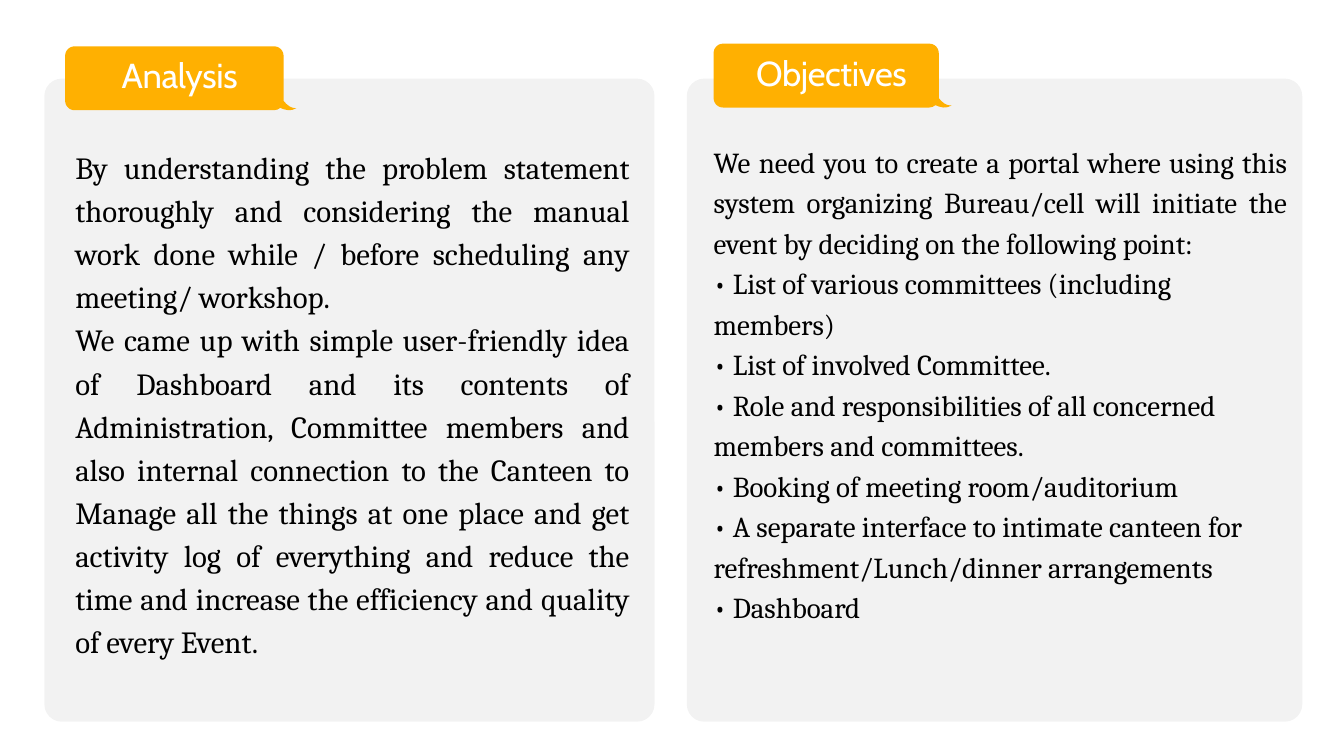
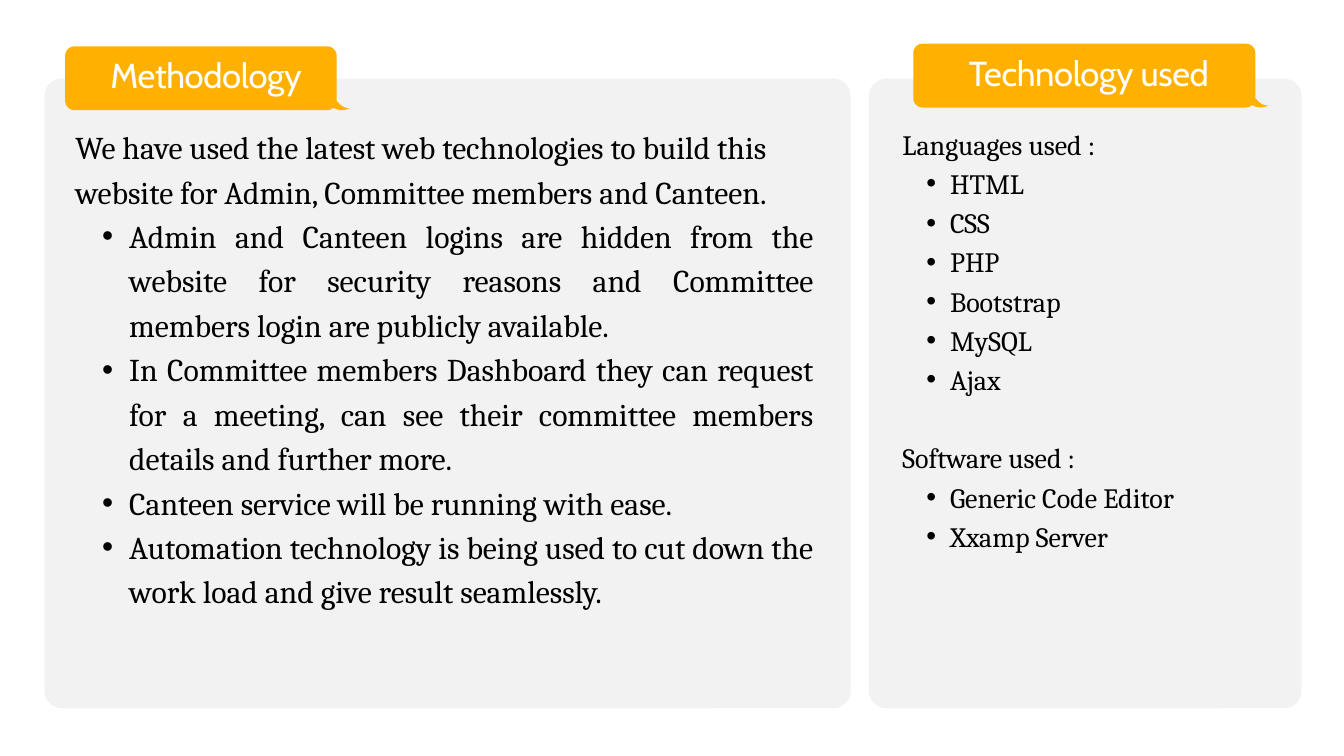
import math
from dataclasses import dataclass

import lxml.etree
import pptx
import pptx.dml.color
import pptx.enum.shapes
import pptx.enum.text
import pptx.oxml.ns
import pptx.util

SLIDE_WIDTH = pptx.util.Inches(20)
SLIDE_HEIGHT = pptx.util.Inches(11.25)
COLUMN = SLIDE_WIDTH / 200
ROW = SLIDE_HEIGHT / 225

INK = pptx.dml.color.RGBColor(0x10, 0x0F, 0x0D)
AMBER = pptx.dml.color.RGBColor(0xFF, 0xB0, 0x01)
WHITE = pptx.dml.color.RGBColor(0xFF, 0xFF, 0xFF)
BLACK = pptx.dml.color.RGBColor(0x00, 0x00, 0x00)

HEADING_FONT = "Cabin"
BODY_FONT = "Cambria"
HEADING_SIZE = 37.1
HEADING_SPACING = -40
BODY_LEADING = 1.4
BULLET_INDENT = 0.85
PANEL_OPACITY = 5
PANEL_TOP = 23.4
PANEL_CORNER = 2.6
TAB_HEIGHT = 19
TAB_CORNER = 1.4
TAB_TAIL = 1.9

LEFT = pptx.enum.text.PP_ALIGN.LEFT
CENTER = pptx.enum.text.PP_ALIGN.CENTER
JUSTIFY = pptx.enum.text.PP_ALIGN.JUSTIFY


@dataclass(frozen=True)
class Box:
    left: float
    top: float
    width: float
    height: float

    def emu(self) -> tuple[int, int, int, int]:
        return (
            round(self.left * COLUMN),
            round(self.top * ROW),
            round(self.width * COLUMN),
            round(self.height * ROW),
        )


@dataclass(frozen=True)
class Line:
    text: str
    align: pptx.enum.text.PP_ALIGN = LEFT
    bulleted: bool = False
    lines_before: int = 0


@dataclass(frozen=True)
class Card:
    heading: str
    panel: Box
    tab: Box
    body: Box
    size: float
    lines: list[Line]


def bullets(align: pptx.enum.text.PP_ALIGN, *texts: str) -> list[Line]:
    return [Line(text, align, True) for text in texts]


def draw_panel(slide: pptx.slide.Slide, box: Box) -> None:
    left, top, width, height = box.emu()
    panel = slide.shapes.add_shape(
        pptx.enum.shapes.MSO_SHAPE.ROUNDED_RECTANGLE, left, top, width, height
    )
    panel.adjustments[0] = PANEL_CORNER * COLUMN / min(width, height)
    panel.shadow.inherit = False
    panel.line.fill.background()
    panel.fill.solid()
    panel.fill.fore_color.rgb = INK
    color = panel.fill._xPr.find(".//" + pptx.oxml.ns.qn("a:srgbClr"))
    lxml.etree.SubElement(
        color, pptx.oxml.ns.qn("a:alpha"), val=str(PANEL_OPACITY * 1000)
    )


def corner(x: float, y: float, start: int) -> list[tuple[float, float]]:
    angles = [math.radians(start + step) for step in range(0, 91, 10)]
    return [
        (x + TAB_CORNER * math.cos(angle), y + TAB_CORNER * math.sin(angle))
        for angle in angles
    ]


def draw_tab(slide: pptx.slide.Slide, box: Box) -> None:
    left, top, width, _ = box.emu()
    right = width / COLUMN - TAB_TAIL
    bottom = TAB_HEIGHT * ROW / COLUMN
    far_x, far_y = right - TAB_CORNER, bottom - TAB_CORNER
    tail = [
        (right + 0.4, bottom - 0.95),
        (right + 0.9, bottom - 0.55),
        (right + 1.4, bottom - 0.35),
        (right + TAB_TAIL, bottom - 0.3),
        (right + 1.3, bottom - 0.05),
        (right + 0.7, bottom),
        (right, bottom - 0.15),
        (right - 0.5, bottom - 0.35),
        (right - 0.9, bottom - 0.1),
    ]
    outline = [
        *corner(TAB_CORNER, far_y, 90),
        *corner(TAB_CORNER, TAB_CORNER, 180),
        *corner(far_x, TAB_CORNER, 270),
        (right, far_y),
        *tail,
        (far_x, bottom),
    ]
    points = [(left + x * COLUMN, top + y * COLUMN) for x, y in outline]
    builder = slide.shapes.build_freeform(*points[0])
    builder.add_line_segments(points[1:], close=True)
    tab = builder.convert_to_shape()
    tab.shadow.inherit = False
    tab.fill.solid()
    tab.fill.fore_color.rgb = AMBER
    tab.line.fill.background()


def add_frame(slide: pptx.slide.Slide, box: Box) -> pptx.text.text.TextFrame:
    frame = slide.shapes.add_textbox(*box.emu()).text_frame
    frame.word_wrap = True
    frame.auto_size = pptx.enum.text.MSO_AUTO_SIZE.SHAPE_TO_FIT_TEXT
    frame.margin_left = frame.margin_right = 0
    frame.margin_top = frame.margin_bottom = 0
    return frame


def format_font(
    paragraph: pptx.text.text._Paragraph,
    name: str,
    size: float,
    color: pptx.dml.color.RGBColor,
) -> None:
    for run in paragraph.runs:
        run.font.name = name
        run.font.size = pptx.util.Pt(size)
        run.font.color.rgb = color


def draw_heading(slide: pptx.slide.Slide, card: Card) -> None:
    tab = card.tab
    box = Box(tab.left + 0.07 * tab.width, tab.top + 4.4, 0.85 * tab.width, 11.2)
    frame = add_frame(slide, box)
    frame.text = card.heading
    paragraph = frame.paragraphs[0]
    paragraph.alignment = CENTER
    paragraph.line_spacing = pptx.util.Pt(HEADING_SIZE)
    format_font(paragraph, HEADING_FONT, HEADING_SIZE, WHITE)
    for run in paragraph.runs:
        run._r.get_or_add_rPr().set("spc", str(HEADING_SPACING))


def add_bullet(paragraph: pptx.text.text._Paragraph, size: float) -> None:
    indent = pptx.util.Pt(size * BULLET_INDENT)
    paragraph.level = 1
    properties = paragraph._p.get_or_add_pPr()
    properties.set("marL", str(2 * indent))
    properties.set("indent", str(-indent))
    lxml.etree.SubElement(properties, pptx.oxml.ns.qn("a:buFont"), typeface="Arial")
    lxml.etree.SubElement(properties, pptx.oxml.ns.qn("a:buChar"), char="•")


def draw_body(slide: pptx.slide.Slide, card: Card) -> None:
    frame = add_frame(slide, card.body)
    leading = pptx.util.Pt(card.size * BODY_LEADING)
    for index, line in enumerate(card.lines):
        paragraph = frame.add_paragraph() if index else frame.paragraphs[0]
        paragraph.text = line.text
        if line.bulleted:
            add_bullet(paragraph, card.size)
        paragraph.alignment = line.align
        paragraph.line_spacing = leading
        if line.lines_before:
            paragraph.space_before = line.lines_before * leading
        format_font(paragraph, BODY_FONT, card.size, BLACK)


def draw_card(slide: pptx.slide.Slide, card: Card) -> None:
    draw_panel(slide, card.panel)
    draw_tab(slide, card.tab)
    draw_heading(slide, card)
    draw_body(slide, card)


ANALYSIS = Card(
    "Analysis",
    Box(6.6, PANEL_TOP, 90.8, 191.4),
    Box(9.7, 13.8, 34.4, TAB_HEIGHT),
    Box(11.2, 42.4, 82.5, 152.2),
    33,
    [
        Line(
            "By understanding the problem statement thoroughly and considering "
            "the manual work done while / before scheduling any meeting/ workshop.",
            JUSTIFY,
        ),
        Line(
            "We came up with simple user-friendly idea of Dashboard and its "
            "contents of Administration, Committee members and also internal "
            "connection to the Canteen to Manage all the things at one place and "
            "get activity log of everything and reduce the time and increase the "
            "efficiency and quality of every Event.",
            JUSTIFY,
        ),
    ],
)

OBJECTIVES = Card(
    "Objectives",
    Box(102.2, PANEL_TOP, 91.6, 191.4),
    Box(106.2, 13, 35.4, TAB_HEIGHT),
    Box(106.2, 41.2, 85.3, 142),
    31,
    [
        Line(
            "We need you to create a portal where using this system organizing "
            "Bureau/cell will initiate the event by deciding on the following point:",
            JUSTIFY,
        ),
        Line("• List of various committees (including members)"),
        Line("• List of involved Committee."),
        Line("• Role and responsibilities of all concerned members and committees."),
        Line("• Booking of meeting room/auditorium"),
        Line(
            "• A separate interface to intimate canteen for "
            "refreshment/Lunch/dinner arrangements"
        ),
        Line("• Dashboard"),
    ],
)

METHODOLOGY = Card(
    "Methodology",
    Box(6.6, PANEL_TOP, 120, 187.4),
    Box(9.7, 13.8, 42.3, TAB_HEIGHT),
    Box(11.2, 36.2, 109.9, 144),
    34,
    [
        Line("We have used the latest web technologies to build this", JUSTIFY),
        Line("website for Admin, Committee members and Canteen.", JUSTIFY),
        *bullets(
            JUSTIFY,
            "Admin and Canteen logins are hidden from the website for security "
            "reasons and Committee members login are publicly available.",
            "In Committee members Dashboard they can request for a meeting, can "
            "see their committee members details and further more.",
            "Canteen service will be running with ease.",
            "Automation technology is being used to cut down the work load and "
            "give result seamlessly.",
        ),
    ],
)

TECHNOLOGY = Card(
    "Technology used",
    Box(129.3, PANEL_TOP, 64.4, 187.4),
    Box(135.9, 13, 52.8, TAB_HEIGHT),
    Box(134.3, 36.2, 59.5, 128.2),
    30,
    [
        Line("Languages used :"),
        *bullets(LEFT, "HTML", "CSS", "PHP", "Bootstrap", "MySQL", "Ajax"),
        Line("Software used :", lines_before=1),
        *bullets(LEFT, "Generic Code Editor", "Xxamp Server"),
    ],
)


def main() -> None:
    deck = pptx.Presentation()
    deck.slide_width = SLIDE_WIDTH
    deck.slide_height = SLIDE_HEIGHT
    for cards in ((ANALYSIS, OBJECTIVES), (METHODOLOGY, TECHNOLOGY)):
        slide = deck.slides.add_slide(deck.slide_layouts[6])
        for card in cards:
            draw_card(slide, card)
    deck.save("out.pptx")


if __name__ == "__main__":
    main()
